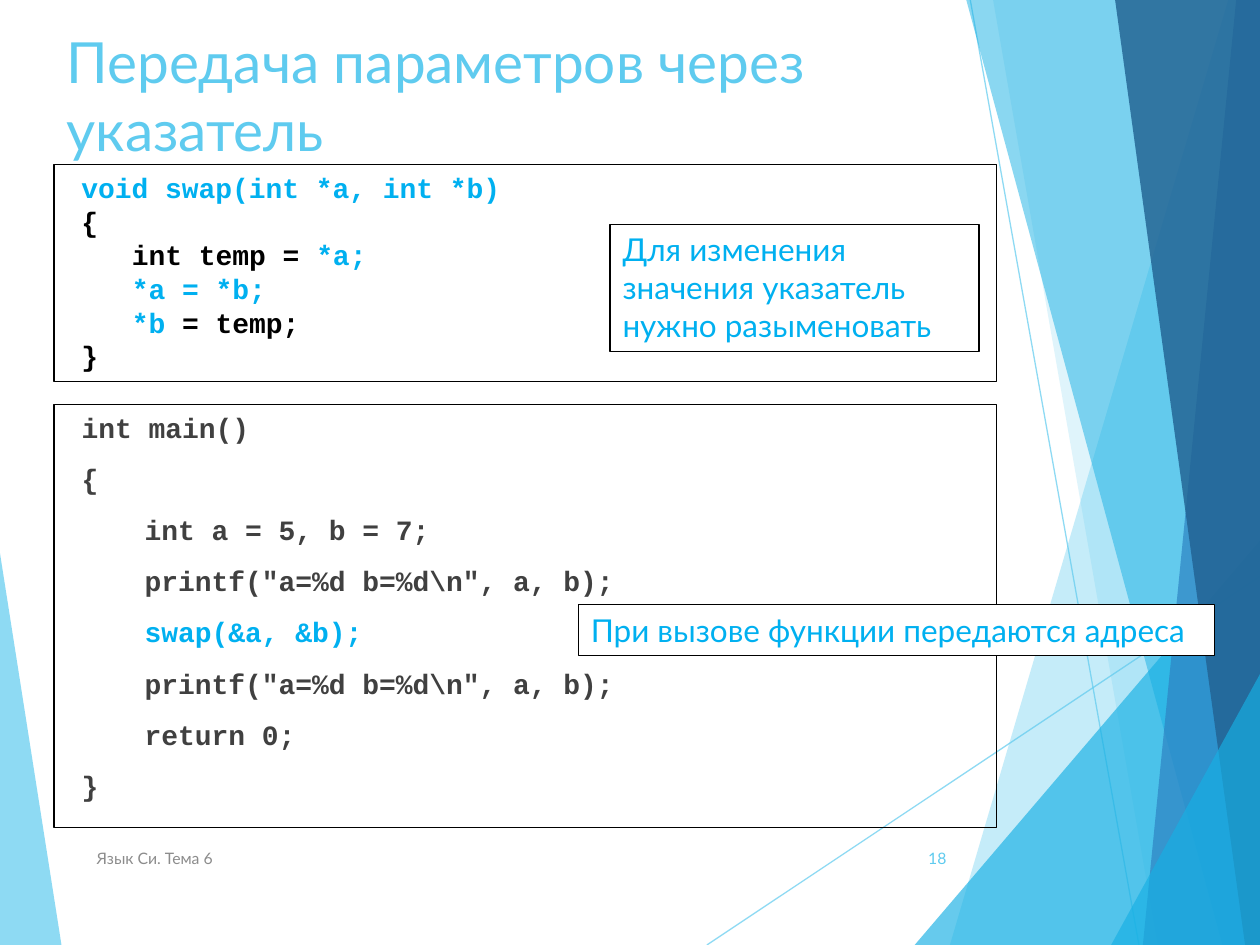
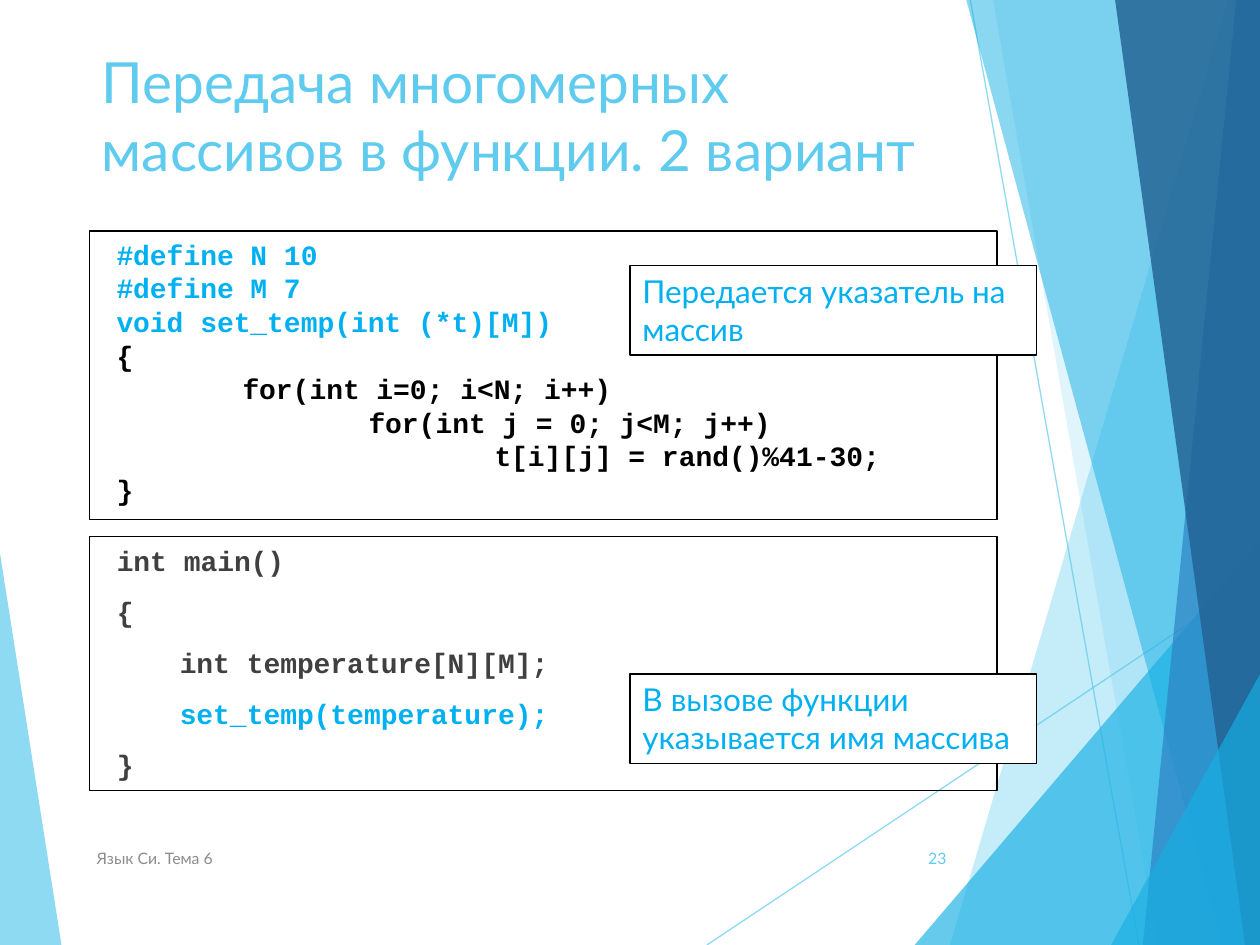
from dataclasses import dataclass
from typing import NamedTuple

from lxml import etree
from pptx import Presentation
from pptx.dml.color import RGBColor
from pptx.enum.shapes import MSO_CONNECTOR
from pptx.enum.text import MSO_ANCHOR, MSO_AUTO_SIZE, PP_ALIGN
from pptx.oxml.ns import qn
from pptx.util import Cm, Pt

STRAIGHT = MSO_CONNECTOR.STRAIGHT
TOP, MIDDLE = MSO_ANCHOR.TOP, MSO_ANCHOR.MIDDLE
LEFT, RIGHT = PP_ALIGN.LEFT, PP_ALIGN.RIGHT
NO_AUTOSIZE = MSO_AUTO_SIZE.NONE

WIDTH, HEIGHT = 25.4, 19.05  # cm


@dataclass(frozen=True)
class Theme:
    sky: str = "5FCBEF"
    cyan: str = "17B0E4"
    blue: str = "2E83C3"
    navy: str = "226292"
    highlight: str = "00B0F0"
    black: str = "000000"
    white: str = "FFFFFF"
    dark_gray: str = "404040"
    gray: str = "8C8C8C"
    text_font: str = "Lato"
    code_font: str = "Courier New"
    title_size: float = 32.4
    note_size: float = 18
    code_size: float = 16
    footer_size: float = 9
    line_width: float = 0.75
    code_margin: float = 0.3


THEME = Theme()


class Box(NamedTuple):
    left: float
    top: float
    width: float
    height: float


class Facet(NamedTuple):
    """Slanted side from (x_top, y_top) to the slide bottom, closed at an edge."""
    x_top: float
    y_top: float
    x_bottom: float
    color: str
    opacity: int
    edge: float = WIDTH


class Ray(NamedTuple):
    x1: float
    y1: float
    x2: float
    y2: float


class CodeLine(NamedTuple):
    text: str  # parts between backticks are highlighted
    indent: float = 0


class Note(NamedTuple):
    box: Box
    lines: tuple[str, ...]
    filled: bool = True


@dataclass(frozen=True)
class CodeSlide:
    number: int
    title: str
    title_box: Box
    function_box: Box
    function_code: tuple[CodeLine, ...]
    main_box: Box
    main_code: tuple[CodeLine, ...]
    notes: tuple[Note, ...]


WEDGE = Facet(0, 11.15, 1.24, THEME.sky, 70, edge=0)
RAYS = (Ray(14.25, HEIGHT, WIDTH, 11.62), Ray(19.56, 0, 22.96, HEIGHT))
FACETS = (
    Facet(24.76, 0, 19.15, THEME.sky, 36),
    Facet(20.02, 0, 23.34, THEME.sky, 20),
    Facet(WIDTH, 10.9, 18.44, THEME.cyan, 66),
    Facet(19.48, 0, 24.64, THEME.cyan, 50),
    Facet(24.92, 0, 23.04, THEME.blue, 70),
    Facet(22.48, 0, 25.1, THEME.navy, 82),
    Facet(WIDTH, 13.59, 22.4, THEME.cyan, 66),
)
FOOTER = "Язык Си. Тема 6"
FOOTER_BOX = Box(1.7, 16.79, 12.85, 1.02)
NUMBER_BOX = Box(17.91, 16.79, 1.42, 1.02)

HALF_TAB, TAB, THREE_CHARS = 1.27, 2.54, 1.02

SLIDES = (
    CodeSlide(
        18, "Передача параметров через указатель", Box(1.09, 0.41, 18.01, 2.39),
        Box(1.09, 3.32, 19, 4.37),
        (CodeLine("`void swap(int *a, int *b)`"),
         CodeLine("{"),
         CodeLine("int temp = `*a;`", THREE_CHARS),
         CodeLine("`*a = *b;`", THREE_CHARS),
         CodeLine("`*b` = temp;", THREE_CHARS),
         CodeLine("}")),
        Box(1.09, 8.15, 19, 8.53),
        (CodeLine("int main()"),
         CodeLine("{"),
         CodeLine("int a = 5, b = 7;", HALF_TAB),
         CodeLine('printf("a=%d b=%d\\n", a, b);', HALF_TAB),
         CodeLine("`swap(&a, &b);`", HALF_TAB),
         CodeLine('printf("a=%d b=%d\\n", a, b);', HALF_TAB),
         CodeLine("return 0;", HALF_TAB),
         CodeLine("}")),
        (Note(Box(12.3, 4.52, 7.44, 2.57),
              ("Для изменения значения указатель", "нужно разыменовать"), False),
         Note(Box(11.66, 12.19, 12.83, 1.02),
              ("При вызове функции передаются адреса",))),
    ),
    CodeSlide(
        23, "Передача многомерных массивов в функции. 2 вариант",
        Box(1.8, 0.81, 17.63, 3.66),
        Box(1.8, 4.66, 18.3, 5.82),
        (CodeLine("`#define N 10`"),
         CodeLine("`#define M 7`"),
         CodeLine("`void set_temp(int (*t)[M])`"),
         CodeLine("{"),
         CodeLine("for(int i=0; i<N; i++)", TAB),
         CodeLine("for(int j = 0; j<M; j++)", 2 * TAB),
         CodeLine("t[i][j] = rand()%41-30;", 3 * TAB),
         CodeLine("}")),
        Box(1.8, 10.82, 18.3, 5.11),
        (CodeLine("int main()"),
         CodeLine("{"),
         CodeLine("int temperature[N][M];", HALF_TAB),
         CodeLine("`set_temp(temperature);`", HALF_TAB),
         CodeLine("}")),
        (Note(Box(12.7, 5.36, 8.2, 1.8), ("Передается указатель на массив",)),
         Note(Box(12.7, 13.59, 8.2, 1.8),
              ("В вызове функции указывается имя массива",))),
    ),
)


# Formatting helpers
def rgb(color: str) -> RGBColor:
    return RGBColor.from_string(color)


def set_opacity(shape, percent: int) -> None:
    for color in shape.element.spPr.iter(qn("a:srgbClr")):
        etree.SubElement(color, qn("a:alpha")).set("val", str(percent * 1000))


def format_run(r, font: str, size: float, color: str, bold: bool = False) -> None:
    r.font.name, r.font.size, r.font.bold = font, Pt(size), bold
    r.font.color.rgb = rgb(color)


def outline(shape) -> None:
    shape.line.color.rgb = rgb(THEME.black)
    shape.line.width = Pt(THEME.line_width)


def place(shape, box: Box) -> None:
    shape.left, shape.top, shape.width, shape.height = map(Cm, box)


def prepare_frame(shape, anchor=TOP):
    tf = shape.text_frame
    tf.word_wrap, tf.auto_size, tf.vertical_anchor = True, NO_AUTOSIZE, anchor
    return tf


# Shared background
def add_facet(s, facet: Facet):
    points = [(facet.x_bottom, HEIGHT), (facet.edge, HEIGHT), (facet.edge, facet.y_top)]
    builder = s.shapes.build_freeform(Cm(facet.x_top), Cm(facet.y_top))
    builder.add_line_segments([(Cm(x), Cm(y)) for x, y in points])
    sp = builder.convert_to_shape()
    sp.shadow.inherit = False
    sp.fill.solid()
    sp.fill.fore_color.rgb = rgb(facet.color)
    sp.line.fill.background()
    set_opacity(sp, facet.opacity)
    return sp


def add_ray(s, ray: Ray):
    line = s.shapes.add_connector(STRAIGHT, *map(Cm, ray))
    line.line.color.rgb = rgb(THEME.sky)
    line.line.width = Pt(THEME.line_width)
    set_opacity(line, 70)
    etree.SubElement(line.element.spPr, qn("a:effectLst"))
    return line


def move_background_to_layout(s) -> None:
    parts = [add_facet(s, WEDGE)]
    parts += [add_ray(s, ray) for ray in RAYS]
    parts += [add_facet(s, facet) for facet in FACETS]
    for shape_id, part in enumerate(parts, 100):
        part.element.xpath("./*/p:cNvPr")[0].set("id", str(shape_id))
        s.slide_layout.shapes.element.append(part.element)


# Slide parts
def write_title(s, text: str, box: Box) -> None:
    title = s.shapes.title
    place(title, box)
    tf = prepare_frame(title)
    tf.text = text
    p = tf.paragraphs[0]
    p.alignment = LEFT
    format_run(p.runs[0], THEME.text_font, THEME.title_size, THEME.sky)


def write_code(sp, lines: tuple[CodeLine, ...], color: str, space: float) -> None:
    outline(sp)
    tf = prepare_frame(sp)
    for i, line in enumerate(lines):
        p = tf.add_paragraph() if i else tf.paragraphs[0]
        p.space_before = Pt(space)
        pPr = p._p.get_or_add_pPr()
        pPr.set("marL", str(Cm(THEME.code_margin + line.indent)))
        pPr.set("indent", "0")
        etree.SubElement(pPr, qn("a:buNone"))
        for j, part in enumerate(line.text.split("`")):
            if part:
                r = p.add_run()
                r.text = part
                format_run(r, THEME.code_font, THEME.code_size,
                           THEME.highlight if j % 2 else color, bold=True)


def add_text(s, box: Box, text: str, size: float, color: str,
             anchor=TOP, align=LEFT):
    sp = s.shapes.add_textbox(*map(Cm, box))
    tf = prepare_frame(sp, anchor)
    tf.text = text
    for p in tf.paragraphs:
        p.alignment = align
        format_run(p.runs[0], THEME.text_font, size, color)
    return sp


def add_note(s, note: Note) -> None:
    sp = add_text(s, note.box, "\n".join(note.lines), THEME.note_size, THEME.highlight)
    outline(sp)
    if note.filled:
        sp.fill.solid()
        sp.fill.fore_color.rgb = rgb(THEME.white)


def build_slide(s, content: CodeSlide) -> None:
    write_title(s, content.title, content.title_box)
    body = s.placeholders[1]
    place(body, content.main_box)
    write_code(body, content.main_code, THEME.dark_gray, 10)
    add_text(s, FOOTER_BOX, FOOTER, THEME.footer_size, THEME.gray, MIDDLE)
    add_text(s, NUMBER_BOX, str(content.number), THEME.footer_size, THEME.sky,
             MIDDLE, RIGHT)
    function = s.shapes.add_textbox(*map(Cm, content.function_box))
    write_code(function, content.function_code, THEME.black, 0)
    for note in content.notes:
        add_note(s, note)


def main() -> None:
    prs = Presentation()
    prs.slide_width, prs.slide_height = Cm(WIDTH), Cm(HEIGHT)
    layout = prs.slide_layouts[1]
    for i, content in enumerate(SLIDES):
        s = prs.slides.add_slide(layout)
        if i == 0:
            move_background_to_layout(s)
        build_slide(s, content)
    prs.save("out.pptx")


if __name__ == "__main__":
    main()
